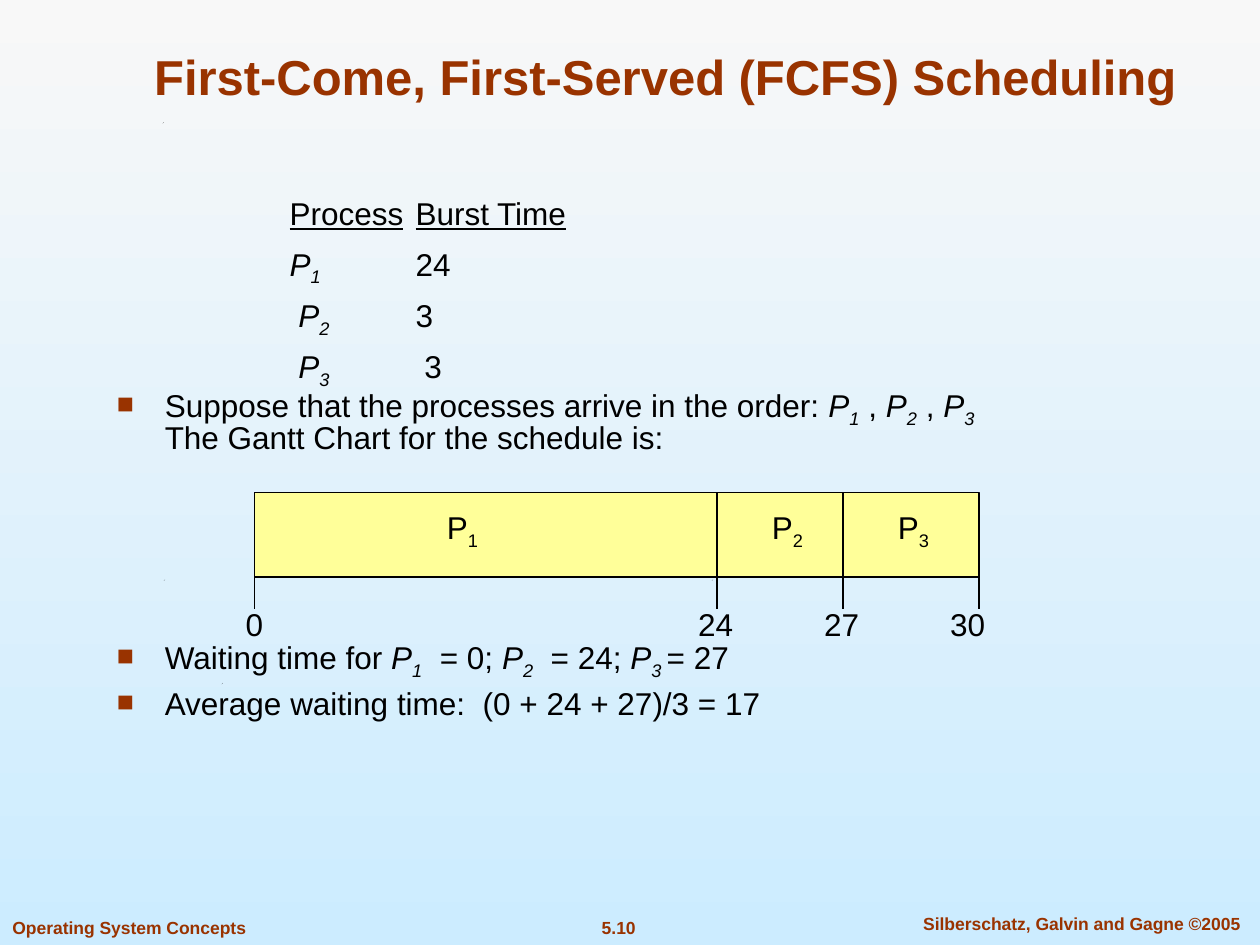
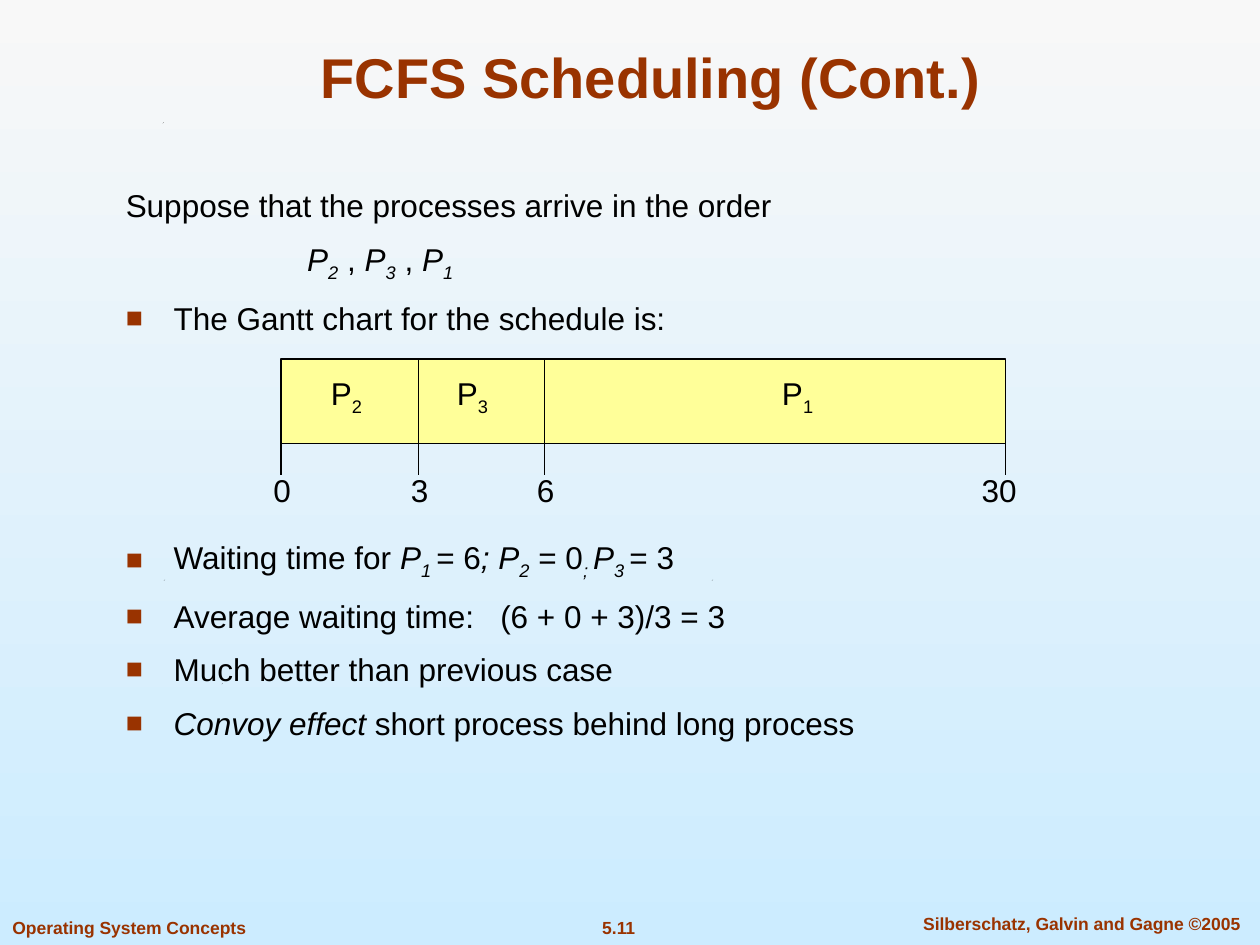
from pptx import Presentation
from pptx.dml.color import RGBColor
from pptx.enum.shapes import MSO_CONNECTOR as CONNECTOR, MSO_SHAPE as SHAPE
from pptx.enum.text import MSO_ANCHOR as ANCHOR, PP_ALIGN as ALIGN
from pptx.oxml.ns import qn
from pptx.util import Inches, Pt
from lxml.etree import SubElement

RUST = RGBColor(0x99, 0x33, 0x00)
BLACK = RGBColor(0, 0, 0)
YELLOW = RGBColor(0xFF, 0xFF, 0x99)
SKY_TOP = RGBColor(0xF8, 0xF8, 0xF8)
SKY_BOTTOM = RGBColor(0xCC, 0xEC, 0xFF)
FONT = "Arial"
BODY_SIZE = 18
BULLET_INDENT = 0.38

BAR_WIDTH, BAR_HEIGHT, TICK_HEIGHT = 5.75, 0.67, 0.25
SPECKS = [(1.76, 5.42), (1.3, 4.6), (5.65, 4.6), (1.29, 0.97)]


def add_run(paragraph, text, size=BODY_SIZE, color=BLACK, bold=False,
            italic=False, underline=False, subscript=False):
    run = paragraph.add_run()
    run.text = text
    font = run.font
    font.name, font.size, font.color.rgb = FONT, Pt(size), color
    font.bold, font.italic, font.underline = bold, italic, underline
    if subscript:
        run._r.get_or_add_rPr().set("baseline", "-25000")


def add_marked_text(paragraph, text):
    """Parts between bars are italic; what follows an underscore is subscript."""
    for index, part in enumerate(text.split("|")):
        italic = index % 2 == 1
        base, _, subscript = part.partition("_")
        for line_number, line in enumerate(base.split("\n")):
            if line_number:
                paragraph.add_line_break()
            if line:
                add_run(paragraph, line, italic=italic)
        if subscript:
            add_run(paragraph, subscript, italic=italic, subscript=True)


def add_bullet(paragraph):
    properties = paragraph._p.get_or_add_pPr()
    properties.set("marL", str(Inches(BULLET_INDENT)))
    properties.set("indent", str(-Inches(BULLET_INDENT)))
    color = SubElement(properties, qn("a:buClr"))
    SubElement(color, qn("a:srgbClr"), val=str(RUST))
    SubElement(properties, qn("a:buSzPct"), val="90000")
    SubElement(properties, qn("a:buFont"), typeface=FONT)
    SubElement(properties, qn("a:buChar"), char="■")


def set_left_indent(paragraph, inches):
    paragraph._p.get_or_add_pPr().set("marL", str(Inches(inches)))


def add_tab_stop(paragraph, inches):
    tabs = SubElement(paragraph._p.get_or_add_pPr(), qn("a:tabLst"))
    SubElement(tabs, qn("a:tab"), pos=str(Inches(inches)), algn="l")


def add_text_frame(slide, left, top, width, height, wrap=True, anchor=ANCHOR.TOP):
    box = slide.shapes.add_textbox(
        Inches(left), Inches(top), Inches(width), Inches(height))
    frame = box.text_frame
    frame.word_wrap = wrap
    frame.vertical_anchor = anchor
    return frame


def add_paragraphs(frame, count, space_before, line_spacing):
    paragraphs = [frame.paragraphs[0]]
    paragraphs += [frame.add_paragraph() for _ in range(count - 1)]
    for index, paragraph in enumerate(paragraphs):
        paragraph.line_spacing = line_spacing
        paragraph.space_before = Pt(space_before if index else 0)
    return paragraphs


def add_bullets(slide, left, top, width, height, items,
                space_before=8, line_spacing=1.0):
    frame = add_text_frame(slide, left, top, width, height)
    paragraphs = add_paragraphs(frame, len(items), space_before, line_spacing)
    for paragraph, item in zip(paragraphs, items):
        add_bullet(paragraph)
        add_marked_text(paragraph, item)


def add_burst_times(slide, left, top, width, height, rows):
    frame = add_text_frame(slide, left, top, width, height)
    paragraphs = add_paragraphs(frame, len(rows) + 1, 9.6, 0.8)
    for paragraph in paragraphs:
        add_tab_stop(paragraph, 1)
    heading = paragraphs[0]
    add_run(heading, "Process", underline=True)
    add_run(heading, "\t")
    add_run(heading, "Burst Time", underline=True)
    for paragraph, row in zip(paragraphs[1:], rows):
        add_marked_text(paragraph, row)


def add_arrival_order(slide, left, top, width, height):
    frame = add_text_frame(slide, left, top, width, height)
    intro, order, chart_note = add_paragraphs(frame, 3, 9, 1.0)
    add_marked_text(intro, "Suppose that the processes arrive in the order")
    set_left_indent(order, 1.44)
    add_marked_text(order, "|P_2| , |P_3| , |P_1|")
    add_bullet(chart_note)
    add_marked_text(chart_note, "The Gantt chart for the schedule is:")


def add_rule(slide, x, top, height):
    line = slide.shapes.add_connector(
        CONNECTOR.STRAIGHT, Inches(x), Inches(top), Inches(x), Inches(top + height))
    line.line.color.rgb = BLACK
    line.line.width = Pt(0.75)
    SubElement(line._element.spPr, qn("a:effectLst"))


def add_centred_label(slide, center, top, width, height, text):
    frame = add_text_frame(slide, center - width / 2, top, width, height,
                           wrap=False, anchor=ANCHOR.MIDDLE)
    paragraph = frame.paragraphs[0]
    paragraph.alignment = ALIGN.CENTER
    add_marked_text(paragraph, text)


def add_gantt_chart(slide, left, top, processes, ticks):
    bar = slide.shapes.add_shape(
        SHAPE.RECTANGLE, Inches(left), Inches(top), Inches(BAR_WIDTH), Inches(BAR_HEIGHT))
    bar.shadow.inherit = False
    bar.fill.solid()
    bar.fill.fore_color.rgb = YELLOW
    bar.line.color.rgb = BLACK
    bar.line.width = Pt(0.75)
    for number, center in processes:
        add_centred_label(slide, left + center, top + 0.07, 0.45, 0.44, f"P_{number}")
    for time, x, label_x in ticks:
        if 0 < x < BAR_WIDTH:
            add_rule(slide, left + x, top, BAR_HEIGHT)
        add_rule(slide, left + x, top + BAR_HEIGHT, TICK_HEIGHT)
        add_centred_label(slide, left + label_x, top + 0.84, 0.48, 0.4, str(time))


def add_footer(slide, number):
    for text, left, top, width, alignment in [
        (number, 4.42, 7.23, 0.98, ALIGN.CENTER),
        ("Silberschatz, Galvin and Gagne ©2005", 7.1, 7.2, 2.97, ALIGN.CENTER),
        ("Operating System Concepts", 0, 7.23, 2.05, ALIGN.LEFT),
    ]:
        paragraph = add_text_frame(slide, left, top, width, 0.27, wrap=False).paragraphs[0]
        paragraph.alignment = alignment
        add_run(paragraph, text, size=10, color=RUST, bold=True)


def add_specks(slide):
    for left, top in SPECKS:
        builder = slide.shapes.build_freeform(Inches(left), Inches(top + 0.01))
        builder.add_line_segments([
            (Inches(left + 0.01), Inches(top)),
            (Inches(left), Inches(top + 0.01))])
        speck = builder.convert_to_shape()
        speck.shadow.inherit = False
        speck.fill.solid()
        speck.fill.fore_color.rgb = BLACK
        speck.line.fill.background()


def add_base_slide(presentation, title_text, title_box, title_size, number):
    slide = presentation.slides.add_slide(presentation.slide_layouts[5])
    add_specks(slide)
    add_footer(slide, number)
    title = slide.shapes.title
    title.left, title.top, title.width, title.height = map(Inches, title_box)
    title.text_frame.vertical_anchor = ANCHOR.BOTTOM
    paragraph = title.text_frame.paragraphs[0]
    paragraph.alignment = ALIGN.CENTER
    add_run(paragraph, title_text, size=title_size, color=RUST, bold=True)
    return slide


def build_fcfs_slide(presentation):
    slide = add_base_slide(presentation, "First-Come, First-Served (FCFS) Scheduling",
                           (0.72, 0.39, 9.12, 0.5), 28, "5.10")
    add_burst_times(slide, 2.2, 1.55, 4, 1.5,
                    ["|P_1|\t24", " |P_2|\t3", " |P_3|\t 3"])
    add_bullets(slide, 0.83, 3.05, 8.27, 0.65, [
        "Suppose that the processes arrive in the order: |P_1| , |P_2| , |P_3|\n"
        "The Gantt Chart for the schedule is:"], line_spacing=0.8)
    add_bullets(slide, 0.83, 5.05, 8.27, 0.8, [
        "Waiting time for |P_1|  = 0; |P_2|  = 24; |P_3 |= 27",
        "Average waiting time:  (0 + 24 + 27)/3 = 17"], line_spacing=0.8)
    add_gantt_chart(slide, 2.02, 3.91,
                    [(1, 1.65), (2, 4.23), (3, 5.23)],
                    [(0, 0, 0), (24, 3.67, 3.66), (27, 4.67, 4.66),
                     (30, BAR_WIDTH, 5.66)])


def build_fcfs_continued_slide(presentation):
    slide = add_base_slide(presentation, "FCFS Scheduling (Cont.)",
                           (0.75, 0.25, 8.83, 0.67), 32, "5.11")
    add_arrival_order(slide, 0.9, 1.43, 8.04, 1.3)
    add_bullets(slide, 0.9, 4.22, 8.04, 1.8, [
        "Waiting time for |P_1 |= 6|; P_2| = 0|_; ||P_3 |= 3",
        "Average waiting time:   (6 + 0 + 3)/3 = 3",
        "Much better than previous case",
        "|Convoy effect| short process behind long process"], space_before=9)
    add_gantt_chart(slide, 2.23, 2.85,
                    [(2, 0.52), (3, 1.52), (1, 4.1)],
                    [(0, 0, 0.01), (3, 1.09, 1.1), (6, 2.09, 2.1),
                     (30, BAR_WIDTH, 5.7)])


def set_background(presentation):
    fill = presentation.slide_master.background.fill
    fill.gradient()
    fill.gradient_angle = 270
    for stop, color in zip(fill.gradient_stops, (SKY_TOP, SKY_BOTTOM)):
        stop.color.rgb = color


def main():
    presentation = Presentation()
    presentation.slide_width, presentation.slide_height = Inches(10), Inches(7.5)
    set_background(presentation)
    build_fcfs_slide(presentation)
    build_fcfs_continued_slide(presentation)
    presentation.save("out.pptx")


if __name__ == "__main__":
    main()
